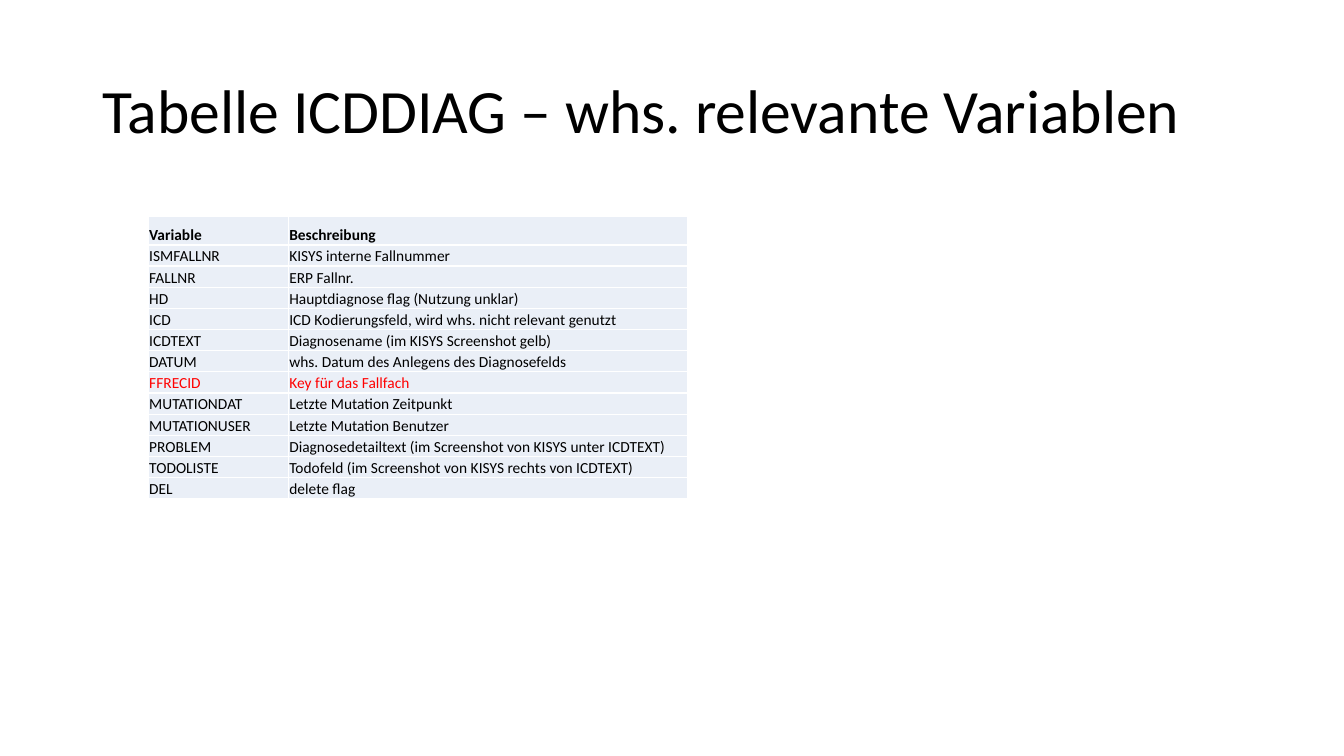
from lxml import etree
from pptx import Presentation
from pptx.dml.color import RGBColor
from pptx.enum.text import MSO_ANCHOR
from pptx.oxml.ns import qn
from pptx.util import Inches, Pt

MIDDLE, BOTTOM = MSO_ANCHOR.MIDDLE, MSO_ANCHOR.BOTTOM
BLACK = RGBColor(0x00, 0x00, 0x00)
RED = RGBColor(0xFF, 0x00, 0x00)
WHITE = RGBColor(0xFF, 0xFF, 0xFF)
PALE_BLUE = RGBColor(0xEA, 0xEF, 0xF7)
FONT = "Calibri"

COLUMN_WIDTHS = (1.39, 3.96)
HEADER_HEIGHT, ROW_HEIGHT = 0.28, 0.21
KEY_VARIABLE = "FFRECID"
VARIABLES = [
    ("Variable", "Beschreibung"),
    ("ISMFALLNR", "KISYS interne Fallnummer"),
    ("FALLNR", "ERP Fallnr."),
    ("HD", "Hauptdiagnose flag (Nutzung unklar)"),
    ("ICD", "ICD Kodierungsfeld, wird whs. nicht relevant genutzt"),
    ("ICDTEXT", "Diagnosename (im KISYS Screenshot gelb)"),
    ("DATUM", "whs. Datum des Anlegens des Diagnosefelds"),
    (KEY_VARIABLE, "Key für das Fallfach"),
    ("MUTATIONDAT", "Letzte Mutation Zeitpunkt"),
    ("MUTATIONUSER", "Letzte Mutation Benutzer"),
    ("PROBLEM", "Diagnosedetailtext (im Screenshot von KISYS unter ICDTEXT)"),
    ("TODOLISTE", "Todofeld (im Screenshot von KISYS rechts von ICDTEXT)"),
    ("DEL", "delete flag"),
]


def set_text(tf, text, size=11, color=BLACK, bold=False, spacing=None):
    """Write one formatted paragraph into a text frame."""
    p = tf.paragraphs[0]
    p.line_spacing = spacing
    r = p.add_run()
    r.text = text
    r.font.name = FONT
    r.font.size = Pt(size)
    r.font.bold = bold
    r.font.color.rgb = color


def add_title(s, text):
    """Add the slide title as a vertically centred text box."""
    sp = s.shapes.add_textbox(Inches(0.92), Inches(0.4), Inches(11.5), Inches(1.45))
    tf = sp.text_frame
    tf.word_wrap = True
    tf.vertical_anchor = MIDDLE
    set_text(tf, text, size=44, spacing=0.9)


def set_borders(cell, color, width):
    """Draw a solid line on all four sides of a cell."""
    tc_pr = cell._tc.get_or_add_tcPr()
    for side in ("lnL", "lnR", "lnT", "lnB"):
        ln = etree.SubElement(tc_pr, qn(f"a:{side}"), w=str(Pt(width)))
        fill = etree.SubElement(ln, qn("a:solidFill"))
        etree.SubElement(fill, qn("a:srgbClr"), val=str(color))


def format_cell(cell, text, **text_format):
    """Give a cell its borders, fill, margins and text."""
    set_borders(cell, WHITE, 1)
    cell.fill.solid()
    cell.fill.fore_color.rgb = PALE_BLUE
    cell.margin_left = cell.margin_right = cell.margin_top = Inches(0.01)
    cell.margin_bottom = 0
    cell.vertical_anchor = BOTTOM
    set_text(cell.text_frame, text, **text_format)


def add_variable_table(s, rows):
    """Add the table of variables, with a bold header and a red key row."""
    height = HEADER_HEIGHT + ROW_HEIGHT * (len(rows) - 1)
    table = s.shapes.add_table(
        len(rows), len(COLUMN_WIDTHS), Inches(1.47), Inches(2.15),
        Inches(sum(COLUMN_WIDTHS)), Inches(height)).table
    table.first_row = table.horz_banding = False
    for column, width in zip(table.columns, COLUMN_WIDTHS):
        column.width = Inches(width)
    for i, row in enumerate(rows):
        table.rows[i].height = Inches(ROW_HEIGHT if i else HEADER_HEIGHT)
        color = RED if row[0] == KEY_VARIABLE else BLACK
        for j, text in enumerate(row):
            format_cell(table.cell(i, j), text, color=color, bold=i == 0)


def main():
    """Build the slide and save it."""
    prs = Presentation()
    prs.slide_width, prs.slide_height = Inches(13.33), Inches(7.5)
    s = prs.slides.add_slide(prs.slide_layouts[6])
    add_title(s, "Tabelle ICDDIAG – whs. relevante Variablen")
    add_variable_table(s, VARIABLES)
    prs.save("out.pptx")


if __name__ == "__main__":
    main()
